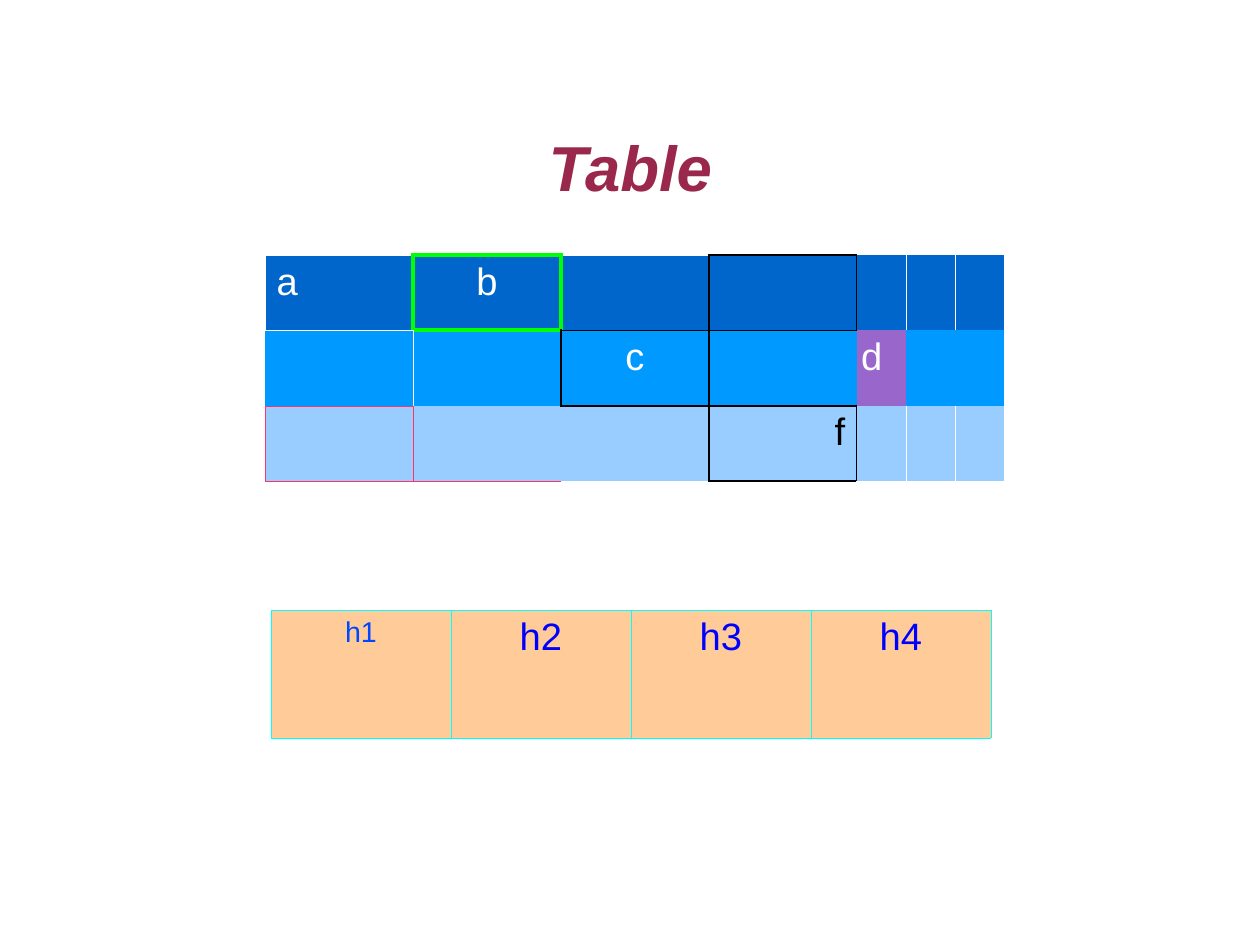
import pptx
import pptx.dml.color
import pptx.enum.text
import pptx.util
from lxml import etree
from pptx.oxml.ns import qn

Inches, Pt = pptx.util.Inches, pptx.util.Pt
RGB = pptx.dml.color.RGBColor
ALIGN = pptx.enum.text.PP_ALIGN
ANCHOR = pptx.enum.text.MSO_ANCHOR

WHITE, BLACK = RGB(255, 255, 255), RGB(0, 0, 0)
GREEN, PINK, CYAN = RGB(0, 255, 0), RGB(0xFF, 0x33, 0x66), RGB(0, 255, 255)
DARK_BLUE, MID_BLUE = RGB(0, 0x66, 0xCC), RGB(0, 0x99, 0xFF)
LIGHT_BLUE, PURPLE = RGB(0x99, 0xCC, 0xFF), RGB(0x99, 0x66, 0xCC)
PEACH, WINE = RGB(0xFF, 0xCC, 0x99), RGB(0x99, 0x28, 0x4C)
HEAD_BLUE, PURE_BLUE = RGB(0, 0x47, 0xFF), RGB(0, 0, 255)

CM_PER_INCH = 2.54
LETTER_COL = 6.47 / 5
HEADER_COL = 6.3 / 4
HAIR, MEDIUM, THICK = 0.06, 1.13, 2.83
NO_STYLE = "{2D5ABB26-0587-4C30-8999-92F81FD0307C}"
# side: row step, column step, and the same edge seen from the neighbour
NEIGHBOURS = {"L": (0, -1, "R"), "R": (0, 1, "L"),
              "T": (-1, 0, "B"), "B": (1, 0, "T")}

# row, columns, sides, colour, width; a later rule covers an earlier one
LETTER_BORDERS = [
    (0, [0], "LTB", WHITE, HAIR),
    (0, [2], "TRB", WHITE, HAIR),
    (0, [4, 5, 6], "LR", WHITE, HAIR),
    (1, [1], "LR", WHITE, HAIR),
    (2, [2], "RB", WHITE, HAIR),
    (2, [4, 5, 6], "LRB", WHITE, HAIR),
    (2, [0], "LRTB", PINK, HAIR),
    (2, [1], "LB", PINK, HAIR),
    (0, [3], "LRTB", BLACK, MEDIUM),
    (1, [2], "LRTB", BLACK, MEDIUM),
    (2, [3], "LRTB", BLACK, MEDIUM),
    (0, [1], "LRTB", GREEN, THICK),
]
HEADER_BORDERS = [
    (0, range(4), "LRT", CYAN, HAIR),
    (1, range(4), "LRB", CYAN, HAIR),
]


def set_attrs(obj, values):
    """Set each named attribute of obj."""
    for name, value in values.items():
        setattr(obj, name, value)


def write_text(tf, text, size, color, align, **font):
    """Write one formatted paragraph into a text frame."""
    p = tf.paragraphs[0]
    p.alignment = align
    r = p.add_run()
    r.text = text
    set_attrs(r.font, {"name": "Arial", "size": Pt(size), **font})
    r.font.color.rgb = color


def add_title(s, text):
    """Place and format the slide title."""
    sp = s.shapes.title
    set_attrs(sp, {"left": Inches(0.81), "top": Inches(0.76),
                   "width": Inches(9.41), "height": Inches(1.38)})
    set_attrs(sp.text_frame, {
        "margin_left": 0, "margin_right": 0, "margin_top": 0,
        "margin_bottom": 0, "vertical_anchor": ANCHOR.MIDDLE})
    write_text(sp.text_frame, text, 40, WINE, ALIGN.CENTER,
               bold=True, italic=True)


def resolve_borders(rules):
    """Map (row, column, side) to a line, on both cells sharing an edge."""
    edges = {}
    for row, cols, sides, color, width in rules:
        for col in cols:
            for side in sides:
                dr, dc, opposite = NEIGHBOURS[side]
                edges[row, col, side] = (color, width)
                edges[row + dr, col + dc, opposite] = (color, width)
    return edges


def add_border(cell, side, line):
    """Add one cell border, or an explicit empty one."""
    ln = etree.SubElement(cell._tc.get_or_add_tcPr(), qn("a:ln" + side))
    if line is None:
        etree.SubElement(ln, qn("a:noFill"))
        return
    color, width = line
    ln.set("w", str(int(Pt(width))))
    fill = etree.SubElement(ln, qn("a:solidFill"))
    etree.SubElement(fill, qn("a:srgbClr")).set("val", str(color))


def add_grid(s, left, top, widths, height, fills, borders):
    """Add a table with one fill per row and the given border rules."""
    rows, cols = len(fills), len(widths)
    frame = s.shapes.add_table(rows, cols, Inches(left), Inches(top),
                               Inches(sum(widths)), Inches(height * rows))
    table = frame.table
    set_attrs(table, {"first_row": False, "horz_banding": False})
    table._tbl.tblPr.find(qn("a:tableStyleId")).text = NO_STYLE
    for col, width in zip(table.columns, widths):
        col.width = Inches(width)
    edges = resolve_borders(borders)
    for r, color in enumerate(fills):
        table.rows[r].height = Inches(height)
        for c in range(cols):
            cell = table.cell(r, c)
            for side in NEIGHBOURS:
                add_border(cell, side, edges.get((r, c, side)))
            fill_cell(cell, color)
    return table


def fill_cell(cell, color):
    """Give a cell a solid fill."""
    cell.fill.solid()
    cell.fill.fore_color.rgb = color


def write_cell(cell, text, color, align, size=24, margin=0.1):
    """Write a cell's text with equal side margins."""
    set_attrs(cell, {"margin_left": Inches(margin),
                     "margin_right": Inches(margin)})
    write_text(cell.text_frame, text, size, color, align)


def main():
    """Build the slide and save it."""
    prs = pptx.Presentation()
    # the page measures 28 by 21 cm
    prs.slide_width = Inches(28 / CM_PER_INCH)
    prs.slide_height = Inches(21 / CM_PER_INCH)
    s = prs.slides.add_slide(prs.slide_layouts[5])
    add_title(s, "Table")

    letters = add_grid(s, 2.32, 2.23,
                       [LETTER_COL] * 4 + [LETTER_COL / 3] * 3, 0.66,
                       [DARK_BLUE, MID_BLUE, LIGHT_BLUE], LETTER_BORDERS)
    write_cell(letters.cell(0, 0), "a", WHITE, ALIGN.LEFT)
    write_cell(letters.cell(0, 1), "b", WHITE, ALIGN.CENTER)
    write_cell(letters.cell(1, 2), "c", WHITE, ALIGN.CENTER)
    write_cell(letters.cell(1, 4), "d", WHITE, ALIGN.LEFT, margin=0.04)
    write_cell(letters.cell(2, 3), "f", BLACK, ALIGN.RIGHT)
    fill_cell(letters.cell(1, 4), PURPLE)

    headers = add_grid(s, 2.37, 5.34, [HEADER_COL] * 4, 0.56,
                       [PEACH, PEACH], HEADER_BORDERS)
    for c in range(4):
        size, color = (24, PURE_BLUE) if c else (18, HEAD_BLUE)
        write_cell(headers.cell(0, c), f"h{c + 1}", color, ALIGN.CENTER,
                   size, margin=0.04)

    prs.save("out.pptx")


main()
